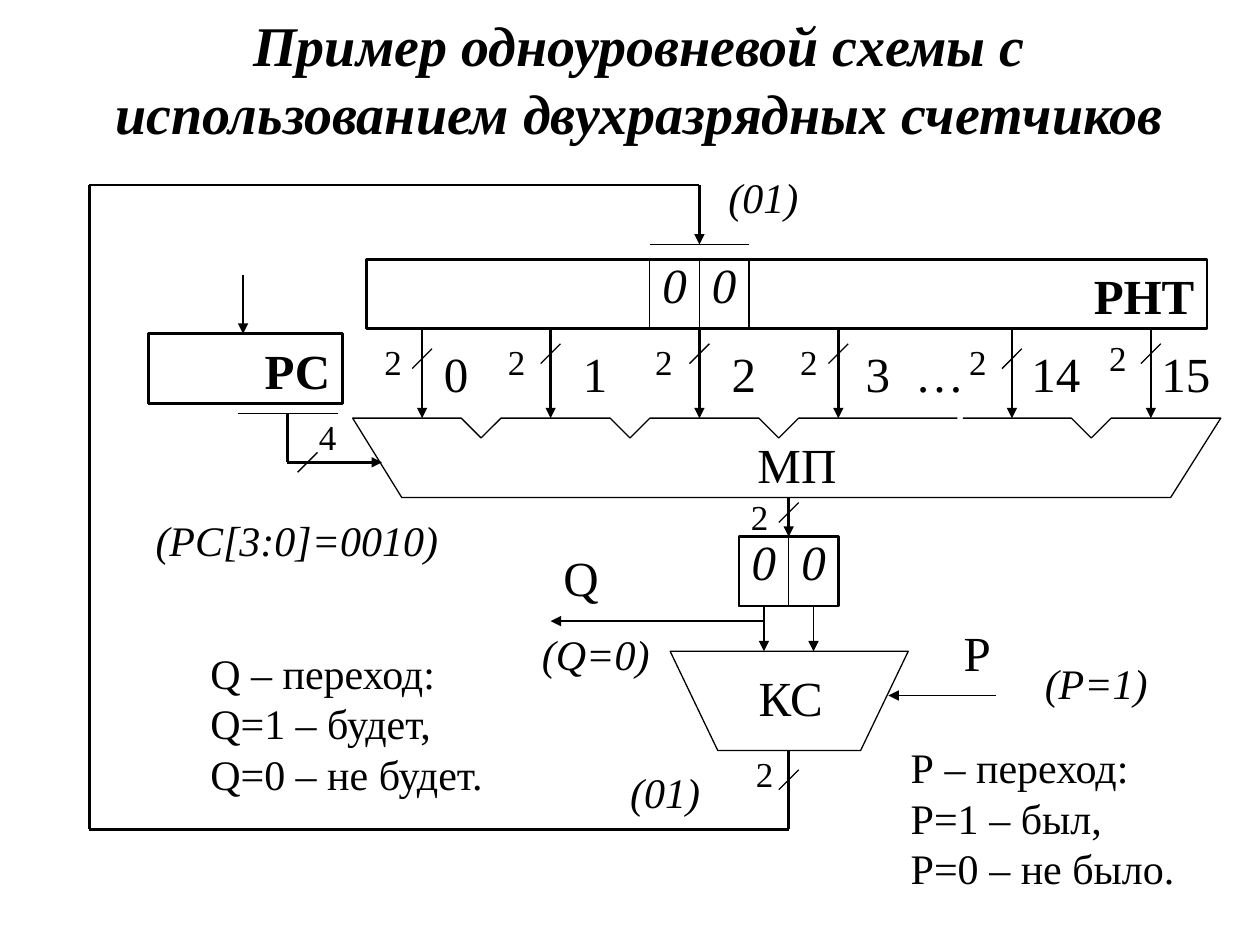
from dataclasses import dataclass
from itertools import pairwise

from lxml import etree
from pptx import Presentation
from pptx.dml.color import RGBColor
from pptx.enum.shapes import MSO_CONNECTOR, MSO_SHAPE
from pptx.enum.text import MSO_ANCHOR, MSO_AUTO_SIZE, PP_ALIGN
from pptx.oxml.ns import qn
from pptx.util import Cm, Pt

LEFT, CENTER, RIGHT = PP_ALIGN.LEFT, PP_ALIGN.CENTER, PP_ALIGN.RIGHT
TOP, MIDDLE = MSO_ANCHOR.TOP, MSO_ANCHOR.MIDDLE
NO_AUTOSIZE = MSO_AUTO_SIZE.NONE
STRAIGHT = MSO_CONNECTOR.STRAIGHT
RECTANGLE, TRAPEZOID = MSO_SHAPE.RECTANGLE, MSO_SHAPE.FLOWCHART_MANUAL_OPERATION


@dataclass(frozen=True)
class Theme:
    font: str = "Times New Roman"
    ink: RGBColor = RGBColor(0, 0, 0)
    title: int = 32
    block: int = 28
    note: int = 24
    bus: int = 20
    thick: float = 1.5
    thin: float = 0.75


THEME = Theme()
BOX_HEIGHT = 1.4
CELL_WIDTH = 1.0
REGISTER_TOP = 5.23
REGISTER_BOTTOM = REGISTER_TOP + BOX_HEIGHT
MUX_TOP, MUX_BOTTOM = 8.43, 10.03
NOTCH = 0.4
AXIS = 15.9
INPUT_AXIS = 14.1


def write(shape, text, size, align=CENTER, bold=False, italic=False, spacing=None, anchor=TOP, tab=None):
    frame = shape.text_frame
    frame.auto_size = NO_AUTOSIZE
    frame.word_wrap = True
    frame.vertical_anchor = anchor
    frame.text = text
    for paragraph in frame.paragraphs:
        paragraph.alignment = align
        if tab:
            tabs = etree.SubElement(paragraph._p.get_or_add_pPr(), qn("a:tabLst"))
            etree.SubElement(tabs, qn("a:tab"), pos=str(Cm(tab)), algn="l")
        if spacing:
            paragraph.line_spacing = spacing
        for run in paragraph.runs:
            run.font.name = THEME.font
            run.font.size = Pt(size)
            run.font.bold = bold
            run.font.italic = italic
            run.font.color.rgb = THEME.ink


def add_label(slide, text, left, top, width, height, size, **style):
    box = slide.shapes.add_textbox(Cm(left), Cm(top), Cm(width), Cm(height))
    write(box, text, size, **style)


def add_bus_width(slide, text, left, top):
    add_label(slide, text, left, top, 1.83, 1.37, THEME.bus)


def add_signal(slide, text, left, top, width=3.4):
    add_label(slide, text, left, top, width, 1.37, THEME.note, italic=True)


def outline(shape, weight):
    shape.shadow.inherit = False
    shape.fill.background()
    shape.line.color.rgb = THEME.ink
    shape.line.width = Pt(weight)


def add_block(slide, left, top, width, height=BOX_HEIGHT, kind=RECTANGLE, weight=THEME.thick):
    shape = slide.shapes.add_shape(kind, Cm(left), Cm(top), Cm(width), Cm(height))
    outline(shape, weight)
    return shape


def add_bit_pair(slide, left, top):
    for bit in range(2):
        cell = add_block(slide, left + bit * CELL_WIDTH, top, CELL_WIDTH, weight=THEME.thin)
        write(cell, "0", THEME.block, italic=True, spacing=0.8)


def add_wire(slide, points, weight=THEME.thick, arrow=False):
    for start, end in pairwise(points):
        line = slide.shapes.add_connector(STRAIGHT, *map(Cm, start + end))
        line.line.color.rgb = THEME.ink
        line.line.width = Pt(weight)
        etree.SubElement(line._element.spPr, qn("a:effectLst"))
        if arrow and end == points[-1]:
            etree.SubElement(line.line._get_or_add_ln(), qn("a:tailEnd"), type="triangle")


def add_slash(slide, x, y):
    add_wire(slide, [(x + 0.2, y - 0.2), (x - 0.2, y + 0.2)], THEME.thin)


def notch_points(center):
    return [(center - NOTCH, MUX_TOP), (center, MUX_TOP + NOTCH), (center + NOTCH, MUX_TOP)]


def add_multiplexer(slide):
    points = [(19.41, MUX_TOP), *notch_points(22), (24.61, MUX_TOP),
              (23.6, MUX_BOTTOM), (8.1, MUX_BOTTOM), (7.11, MUX_TOP)]
    for center in (9.7, 12.7, 15.7):
        points += notch_points(center)
    points.append((19.3, MUX_TOP))
    corners = [(Cm(x), Cm(y)) for x, y in points]
    builder = slide.shapes.build_freeform(*corners[0])
    builder.add_line_segments(corners[1:], close=False)
    outline(builder.convert_to_shape(), THEME.thin)
    add_label(slide, "МП", 8.71, 8.64, 14.71, 1.37, THEME.block)


def add_mux_inputs(slide):
    inputs = [
        ("0", 8.51, 8.0, 7.23, 7.01, 6.73),
        ("1", 11.1, 10.8, 7.13, 9.5, 6.73),
        ("2", INPUT_AXIS, 13.8, 7.13, 12.47, 6.73),
        ("3\t…", 16.9, 17.2, 7.13, 15.39, 6.73),
        ("14", 20.4, 20.09, 7.23, 18.8, 6.73),
        ("15", 23.2, 22.71, 7.13, 21.62, 6.65),
    ]
    for number, x, number_left, slash_y, width_left, width_top in inputs:
        add_wire(slide, [(x, REGISTER_BOTTOM), (x, MUX_TOP)], arrow=True)
        add_slash(slide, x, slash_y)
        add_bus_width(slide, "2", width_left, width_top)
        tabbed = "\t" in number
        add_label(slide, number, number_left, 7.03, 2.8 if tabbed else 2.39, 1.19, THEME.block,
                  align=LEFT if tabbed else CENTER, spacing=0.8, tab=1.0 if tabbed else None)


def add_registers(slide):
    write(add_block(slide, 3, 6.73, 3.91), "РС", THEME.block, align=RIGHT, bold=True)
    write(add_block(slide, 7.39, REGISTER_TOP, 16.94), "РНТ", THEME.block, align=RIGHT, bold=True)
    add_bit_pair(slide, INPUT_AXIS - CELL_WIDTH, REGISTER_TOP)
    add_wire(slide, [(4.9, 5.54), (4.9, 6.73)], arrow=True)
    add_wire(slide, [(6.81, 8.33), (4.8, 8.33)], THEME.thin)
    add_wire(slide, [(5.79, 8.33), (5.79, 9.32), (7.7, 9.32)], arrow=True)
    add_slash(slide, 6.2, 9.32)
    add_bus_width(slide, "4", 5.69, 8.26)


def add_output_logic(slide):
    add_wire(slide, [(AXIS, MUX_BOTTOM), (AXIS, 10.82)], arrow=True)
    add_slash(slide, AXIS, 10.33)
    add_bus_width(slide, "2", 14.4, 9.86)
    add_block(slide, AXIS - CELL_WIDTH, 10.82, 2 * CELL_WIDTH)
    add_bit_pair(slide, AXIS - CELL_WIDTH, 10.82)
    for x in (15.4, 16.4):
        add_wire(slide, [(x, 12.22), (x, 13.13)], THEME.thin, arrow=True)
    add_block(slide, 13.51, 13.13, 4.8, 2, TRAPEZOID, THEME.thin)
    add_label(slide, "КС", 14.58, 13.34, 2.72, 1.27, THEME.block)
    add_wire(slide, [(15.4, 12.52), (11.1, 12.52)], THEME.thin, arrow=True)
    add_wire(slide, [(20.07, 14.02), (17.91, 14.02)], THEME.thin, arrow=True)
    add_label(slide, "Q", 10.8, 10.92, 1.83, 1.37, THEME.block)
    add_label(slide, "Р", 18.8, 12.42, 1.8, 1.37, THEME.block)


def add_feedback(slide):
    add_wire(slide, [(AXIS, 15.13), (AXIS, 16.72), (1.8, 16.72), (1.8, 3.73),
                     (INPUT_AXIS, 3.73), (INPUT_AXIS, 4.93)], arrow=True)
    add_wire(slide, [(INPUT_AXIS + CELL_WIDTH, 4.93), (INPUT_AXIS - CELL_WIDTH, 4.93)], THEME.thin)
    add_slash(slide, AXIS, 15.72)
    add_bus_width(slide, "2", 14.5, 15.04)


def add_notes(slide):
    add_signal(slide, "(РС[3:0]=0010)", 2.29, 10.24, 7.39)
    add_signal(slide, "(Q=0)", 10.31, 12.55)
    add_signal(slide, "(P=1)", 20.4, 13.13)
    add_signal(slide, "(01)", 11.71, 15.32)
    add_signal(slide, "(01)", 13.69, 3.33)
    add_label(slide, "Q – переход:\nQ=1 – будет,\nQ=0 – не будет.", 3.99, 12.93, 6.88, 3.2,
              THEME.note, align=LEFT)
    add_label(slide, "Р – переход:\nР=1 – был,\nР=0 – не было.", 18.11, 14.83, 5.89, 3.2,
              THEME.note, align=LEFT)


def add_title(slide):
    title = slide.shapes.title
    title.left, title.top, title.width, title.height = map(Cm, (0.89, 0.33, 24, 2.49))
    write(title, "Пример одноуровневой схемы с использованием двухразрядных счетчиков",
          THEME.title, bold=True, italic=True, anchor=MIDDLE)


def main():
    presentation = Presentation()
    presentation.slide_width, presentation.slide_height = Cm(25.4), Cm(19.05)
    slide = presentation.slides.add_slide(presentation.slide_layouts[5])
    add_title(slide)
    add_registers(slide)
    add_mux_inputs(slide)
    add_multiplexer(slide)
    add_output_logic(slide)
    add_feedback(slide)
    add_notes(slide)
    presentation.save("out.pptx")


if __name__ == "__main__":
    main()
